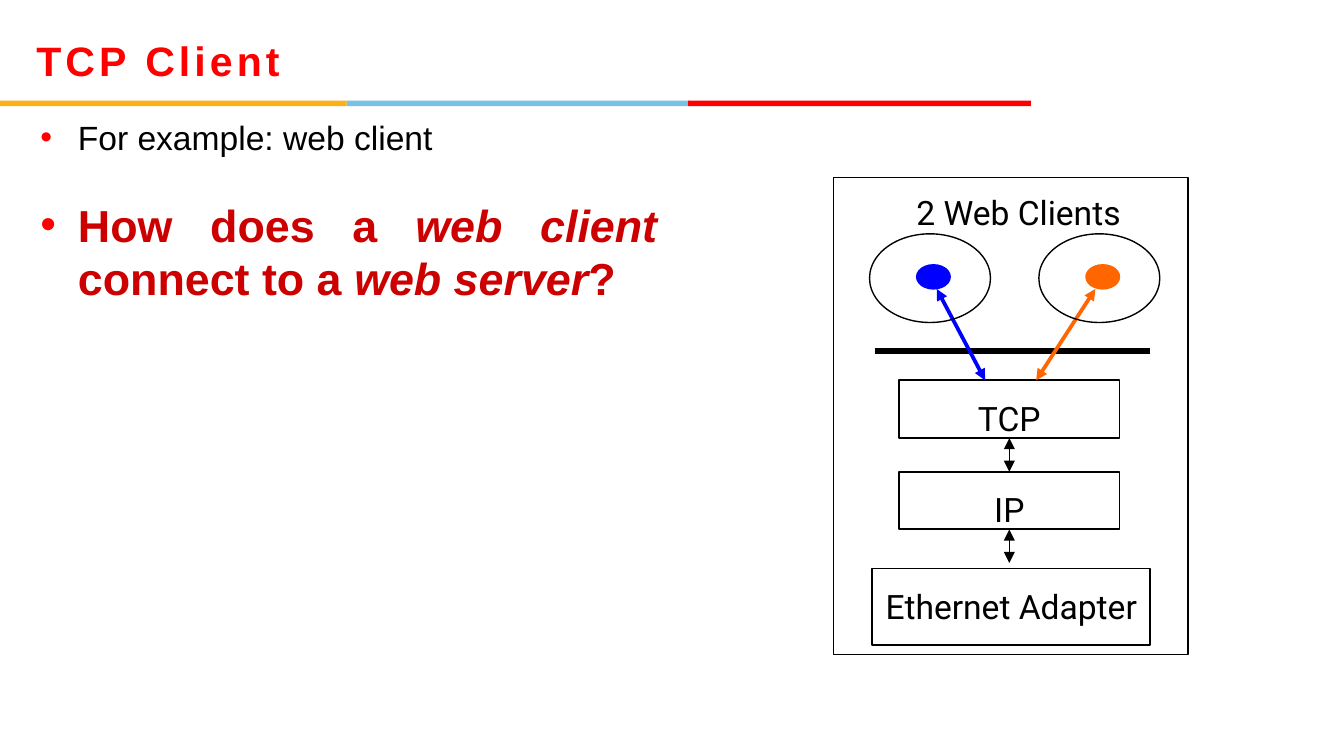
from lxml import etree
from pptx import Presentation
from pptx.dml.color import RGBColor
from pptx.enum.shapes import MSO_CONNECTOR as CONN, MSO_SHAPE as SHAPE
from pptx.enum.text import MSO_ANCHOR as ANCHOR, PP_ALIGN as ALIGN
from pptx.oxml.ns import qn
from pptx.util import Inches, Pt

COLORS = {
    "red": "FF0000", "dark_red": "CC0000", "yellow": "FCB017", "sky": "76C2E5",
    "black": "000000", "blue": "0000FF", "orange": "FF6600",
}


def rgb(name):
    return RGBColor.from_string(COLORS[name])


def add_run(p, text, size=18, font="Arial", color="black", bold=False, italic=False, spacing=0):
    r = p.add_run()
    r.text = text
    f = r.font
    f.size, f.name, f.bold, f.italic = Pt(size), font, bold, italic
    f.color.rgb = rgb(color)
    if spacing:
        r._r.get_or_add_rPr().set("spc", str(round(spacing * 100)))
    return r


def add_bullet(p, color, indent):
    pPr = p._p.get_or_add_pPr()
    pPr.set("marL", str(Inches(indent)))
    pPr.set("indent", str(-Inches(indent)))
    clr = etree.SubElement(pPr, qn("a:buClr"))
    etree.SubElement(clr, qn("a:srgbClr")).set("val", COLORS[color])
    etree.SubElement(pPr, qn("a:buFont")).set("typeface", "Arial")
    etree.SubElement(pPr, qn("a:buChar")).set("char", "•")


class Canvas:
    font = "Roboto"

    def __init__(self, slide):
        self.s = slide

    def frame(self, sp, insets, anchor=ANCHOR.TOP, wrap=True):
        tf = sp.text_frame
        tf.word_wrap, tf.vertical_anchor = wrap, anchor
        left, top, right, bottom = map(Inches, insets)
        tf.margin_left, tf.margin_top = left, top
        tf.margin_right, tf.margin_bottom = right, bottom
        return tf

    def text(self, x, y, w, h, insets=(0, 0, 0, 0), **kw):
        sp = self.s.shapes.add_textbox(Inches(x), Inches(y), Inches(w), Inches(h))
        return self.frame(sp, insets, **kw)

    def shape(self, kind, x, y, w, h, fill=None, line=None, width=0.75):
        sp = self.s.shapes.add_shape(kind, Inches(x), Inches(y), Inches(w), Inches(h))
        sp.shadow.inherit = False
        if fill:
            sp.fill.solid()
            sp.fill.fore_color.rgb = rgb(fill)
        else:
            sp.fill.background()
        if line:
            sp.line.color.rgb = rgb(line)
            sp.line.width = Pt(width)
        else:
            sp.line.fill.background()
        return sp

    def layer(self, label, x, y, w, h):
        sp = self.shape(SHAPE.RECTANGLE, x, y, w, h, line="black", width=1)
        p = self.frame(sp, (0.09, 0.13, 0.09, 0.13), wrap=False).paragraphs[0]
        p.alignment = ALIGN.CENTER
        add_run(p, label, font=self.font)

    def line(self, x1, y1, x2, y2, color="black", width=0.75, arrows=True):
        c = self.s.shapes.add_connector(
            CONN.STRAIGHT, Inches(x1), Inches(y1), Inches(x2), Inches(y2))
        c.line.color.rgb = rgb(color)
        c.line.width = Pt(width)
        if arrows:
            ln = c.line._get_or_add_ln()
            for end in ("a:headEnd", "a:tailEnd"):
                etree.SubElement(ln, qn(end)).set("type", "triangle")
        etree.SubElement(c._element.spPr, qn("a:effectLst"))


def main():
    # Widescreen page, 16:9
    prs = Presentation()
    prs.slide_width, prs.slide_height = Inches(10), Inches(10 * 9 / 16)
    c = Canvas(prs.slides.add_slide(prs.slide_layouts[6]))

    # Title and three-colour rule
    for x, w, color in ((2.58, 2.55, "sky"), (0, 2.58, "yellow"), (5.12, 2.55, "red")):
        c.shape(SHAPE.RECTANGLE, x, 0.75, w, 0.04, fill=color)
    title = c.text(0.27, 0.13, 7.15, 0.64, anchor=ANCHOR.MIDDLE)
    add_run(title.paragraphs[0], "TCP Client", size=22, color="red", bold=True, spacing=2.2)

    # Bullets
    body = c.text(0.3, 0.82, 4.59, 4.5, insets=(0, 0.05, 0, 0.05))
    example, question = body.paragraphs[0], body.add_paragraph()
    for p in (example, question):
        add_bullet(p, "red", 0.28)
        p.alignment = ALIGN.JUSTIFY
    question.space_before = Pt(21.5)
    add_run(example, "For example: web client")
    for text, italic in (("How does a ", False), ("web client", True),
                         (" connect to a ", False), ("web server", True), ("? ", False)):
        add_run(question, text, size=24, color="dark_red", bold=True, italic=italic)

    # Protocol stack
    c.layer("TCP", 6.69, 2.83, 1.64, 0.43)
    c.layer("IP", 6.69, 3.51, 1.64, 0.43)
    c.layer("Ethernet Adapter", 6.49, 4.23, 2.07, 0.57)
    for y in (3.26, 3.94):
        c.line(7.51, y, 7.51, y + 0.25)
    c.line(6.51, 2.61, 8.56, 2.61, width=3, arrows=False)
    c.shape(SHAPE.RECTANGLE, 6.2, 1.32, 2.64, 3.55, line="black")

    # Clients, each with a socket linked to TCP
    for x, color, start, end in ((6.47, "blue", 6.97, 7.33), (7.73, "orange", 8.15, 7.71)):
        c.shape(SHAPE.OVAL, x + 0.35, 1.97, 0.25, 0.18, fill=color, line=color)
        c.line(start, 2.15, end, 2.83, color=color, width=2)
        c.shape(SHAPE.OVAL, x, 1.74, 0.9, 0.66, line="black")
    label = c.text(6.72, 1.38, 1.77, 0.4, insets=(0.1, 0.05, 0.1, 0.05), wrap=False)
    add_run(label.paragraphs[0], "2 Web Clients", font=c.font)

    prs.save("out.pptx")


if __name__ == "__main__":
    main()
